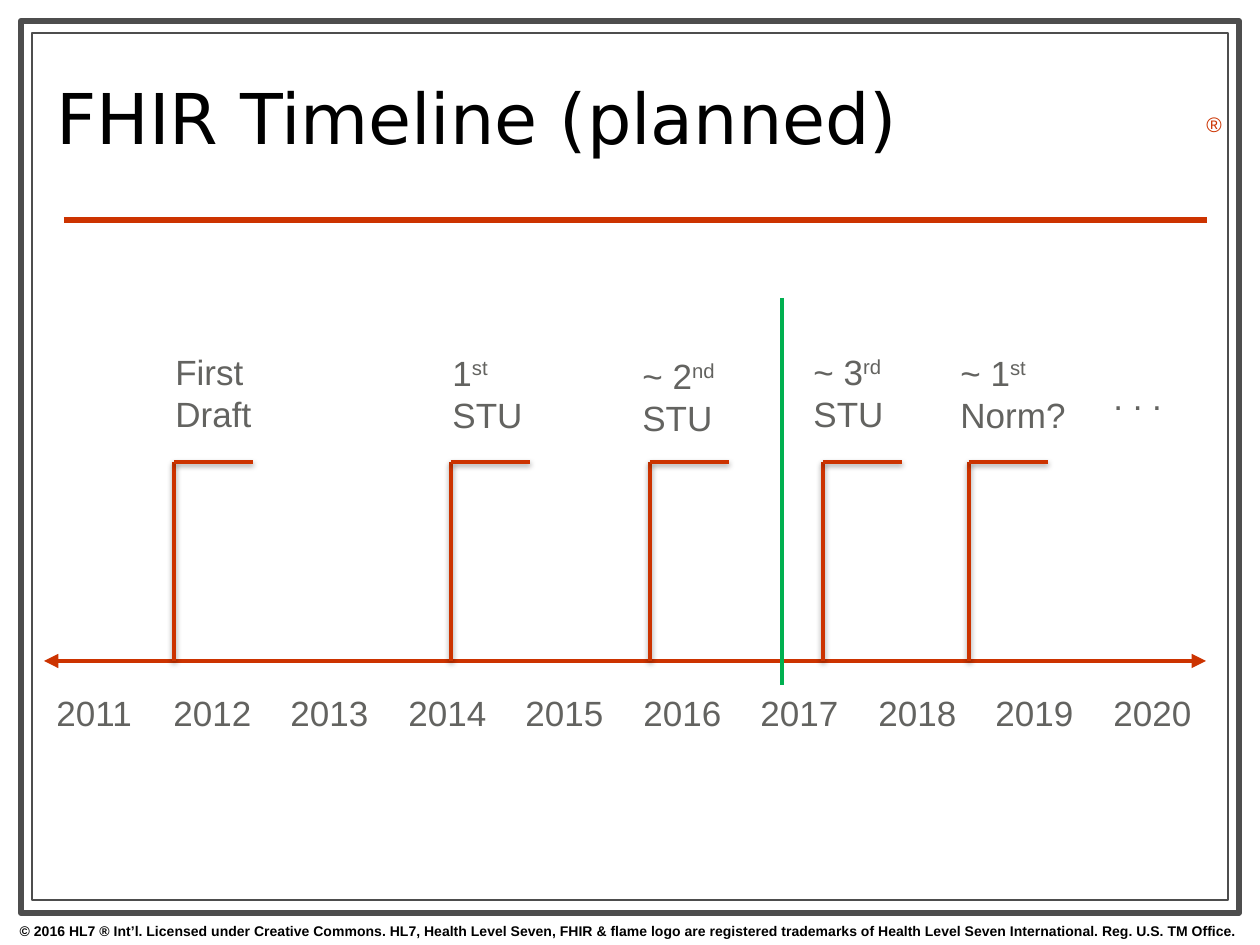
from lxml import etree
from pptx import Presentation
from pptx.dml.color import RGBColor
from pptx.enum.shapes import MSO_CONNECTOR, MSO_SHAPE
from pptx.enum.text import MSO_ANCHOR, MSO_AUTO_SIZE, PP_ALIGN
from pptx.oxml import parse_xml
from pptx.oxml.ns import nsdecls, qn
from pptx.util import Emu, Pt

COLORS = {
    "paper": "FFFFFF",
    "frame": "4D4D4D",
    "accent": "CC3300",
    "today": "00B050",
    "label": "636360",
    "ink": "000000",
}
PX = 914400 / 126
SHADOW = (
    f'<a:effectLst {nsdecls("a")}>'
    '<a:outerShdw blurRad="39370" dist="20320" dir="5400000" rotWithShape="0">'
    '<a:srgbClr val="000000"><a:alpha val="38000"/></a:srgbClr>'
    '</a:outerShdw></a:effectLst>'
)


def add_text(text, left, top, width, height, size=20, color="label", font="Arial",
             bold=False, align=PP_ALIGN.LEFT, anchor=MSO_ANCHOR.TOP,
             wrap=False, grow=True, spacing=None, parent=None):
    box = (parent or slide).shapes.add_textbox(*[Emu(round(v * PX)) for v in (left, top, width, height)])
    frame = box.text_frame
    frame.word_wrap = wrap
    frame.auto_size = MSO_AUTO_SIZE.SHAPE_TO_FIT_TEXT if grow else MSO_AUTO_SIZE.NONE
    frame.vertical_anchor = anchor
    for number, line in enumerate(text.split("\n")):
        paragraph = frame.add_paragraph() if number else frame.paragraphs[0]
        paragraph.alignment = align
        if spacing:
            paragraph.line_spacing = spacing
        base, _, superscript = line.partition("^")
        paragraph.text = base
        if superscript:
            raised = paragraph.add_run()
            raised.text = superscript
            raised.font._element.set("baseline", "30000")
        for run in paragraph.runs:
            run.font.size = Pt(size)
            run.font.name = font
            run.font.bold = bold
            run.font.color.rgb = RGBColor.from_string(COLORS[color])


def add_line(x1, y1, x2, y2, width, color="accent", arrows=False, shadow=False, parent=None):
    ends = [Emu(round(v * PX)) for v in (x1, y1, x2, y2)]
    line = (parent or slide).shapes.add_connector(MSO_CONNECTOR.STRAIGHT, *ends)
    line.line.width = Pt(width)
    line.line.color.rgb = RGBColor.from_string(COLORS[color])
    properties = line._element.spPr
    if arrows:
        for end in ("a:headEnd", "a:tailEnd"):
            etree.SubElement(properties.find(qn("a:ln")), qn(end), type="triangle")
    properties.append(parse_xml(SHADOW if shadow else f'<a:effectLst {nsdecls("a")}/>'))


presentation = Presentation()
presentation.slide_width = Emu(round(1260 * PX))
presentation.slide_height = Emu(round(945 * PX))
slide = presentation.slides.add_slide(presentation.slide_layouts[6])

for left, top, width, height, weight in [(21, 21, 1218, 892, 3.5), (32, 33, 1196, 867, 0.75)]:
    border = slide.shapes.add_shape(
        MSO_SHAPE.RECTANGLE, *[Emu(round(v * PX)) for v in (left, top, width, height)])
    border.shadow.inherit = False
    border.fill.solid()
    border.fill.fore_color.rgb = RGBColor.from_string(COLORS["paper"])
    border.line.color.rgb = RGBColor.from_string(COLORS["frame"])
    border.line.width = Pt(weight)

add_line(64, 220, 1207, 220, 3)
add_text(
    "© 2016 HL7 ® Int’l. Licensed under Creative Commons. HL7, Health Level Seven, "
    "FHIR & flame logo are registered trademarks of Health Level Seven International. "
    "Reg. U.S. TM Office.",
    -1, 916, 1260, 29, size=8, color="ink", bold=True, align=PP_ALIGN.CENTER, wrap=True)
add_text("®", 1194, 105, 39, 38, size=12, color="accent", wrap=True)
add_text("FHIR Timeline (planned)", 44, 45, 903, 159, size=40, color="ink",
         font="DejaVu Sans", anchor=MSO_ANCHOR.MIDDLE, wrap=True, grow=False, spacing=0.8)

axis_left, axis_right, axis_y = 44, 1206, 661
first_year, last_year = 2011, 2020
add_line(axis_left, axis_y, axis_right, axis_y, 2.75, arrows=True)
for year in range(first_year, last_year + 1):
    year_left = axis_left + 1057 * (year - first_year) // (last_year - first_year)
    add_text(str(year), year_left, 685, 104, 55)

flag_top, flag_width = 462, 79
milestones = [
    ("First\vDraft", 174, 163, 344, 102),
    ("1^st\nSTU", 451, 440, 345, 96),
    ("~ 2^nd\nSTU", 650, 630, 348, 102),
    ("~ 3^rd\nSTU", 823, 801, 344, 106),
    ("~ 1^st\nNorm?", 969, 948, 345, 131),
]
for label, flag_x, label_left, label_top, label_width in milestones:
    milestone = slide.shapes.add_group_shape()
    add_text(label, label_left, label_top, label_width, 97, parent=milestone)
    add_line(flag_x, flag_top, flag_x, axis_y, 2, shadow=True, parent=milestone)
    add_line(flag_x, flag_top, flag_x + flag_width, flag_top, 2, shadow=True, parent=milestone)

add_text(". . .", 1101, 369, 74, 55)
add_line(782, 298, 782, 685, 2, color="today")

presentation.save("out.pptx")
